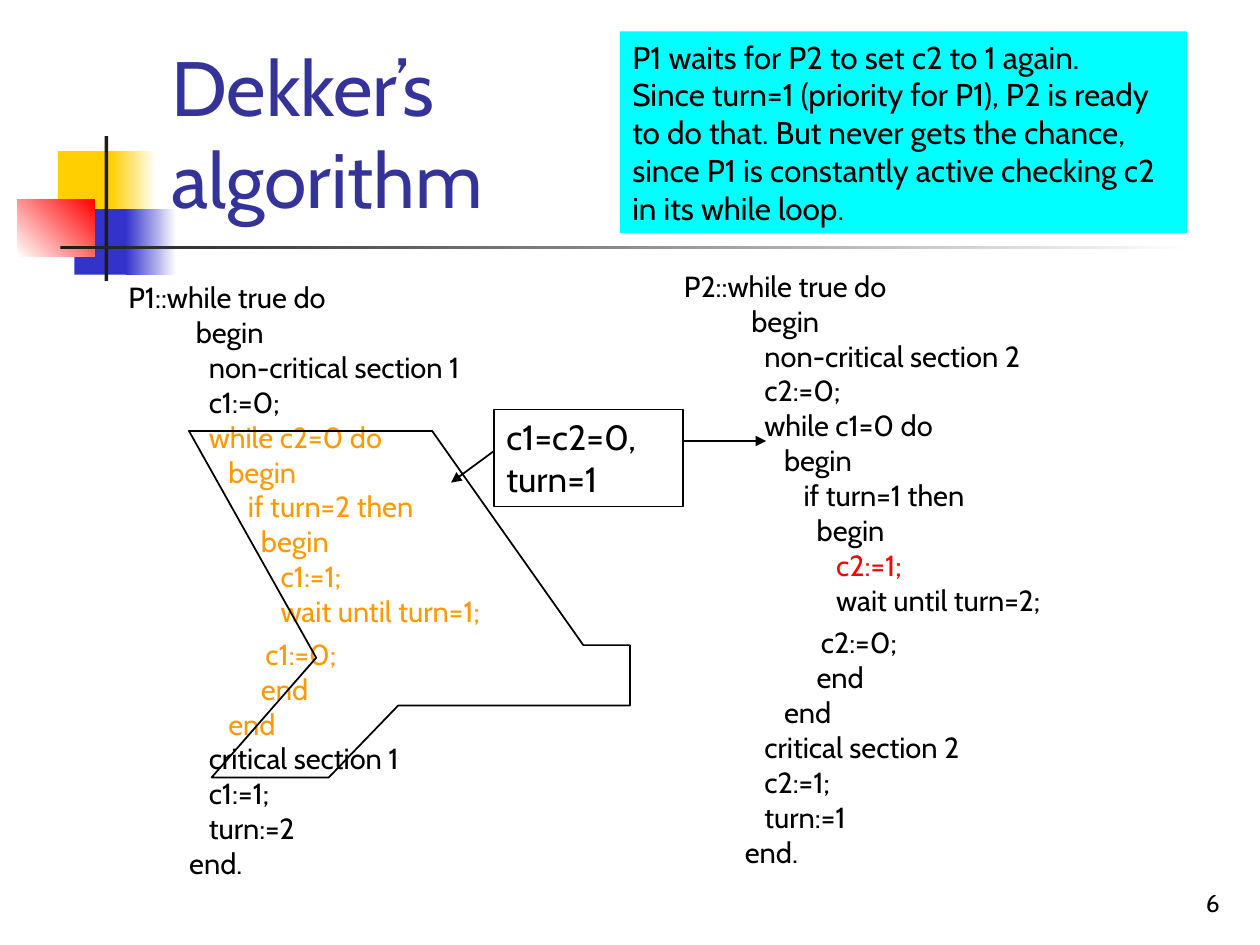
from lxml.etree import SubElement
from pptx import Presentation
from pptx.dml.color import RGBColor
from pptx.enum.shapes import MSO_CONNECTOR, MSO_SHAPE
from pptx.enum.text import MSO_ANCHOR, PP_ALIGN
from pptx.oxml.ns import qn
from pptx.util import Inches, Pt

FONT = "Cabin"
COLORS = {
    "black": "000000", "white": "FFFFFF", "yellow": "FFCF01", "blue": "3333CC",
    "red": "FF0000", "dark": "1C1C1C", "title": "333399", "cyan": "00FFFF",
    "orange": "FF9900",
}
CODE = [
    [
        "P{me}::while true do",
        "   begin",
        "     non-critical section {me}",
        "     c{me}:=0;",
        "     while c{other}=0 do",
        "        begin",
        "           if turn={other} then",
        "             begin",
        "                c{me}:=1;",
        "                wait until turn={me};",
    ],
    [
        "                     c{me}:=0;",
        "             end",
        "        end",
        "     critical section {me}",
        "     c{me}:=1;",
        "     turn:={other}",
        "  end.",
    ],
]
OUTLINE = [(1.5, 3.42), (2.51, 5.22), (1.68, 6.17), (2.61, 6.17), (3.16, 5.6),
           (5, 5.6), (5, 5.12), (4.63, 5.12), (3.43, 3.42)]


def rgb(name):
    """Look up a named colour."""
    return RGBColor.from_string(COLORS[name])


def add_rect(s, box, fill=None, line=None, fade=None, angle=0):
    """Add a rectangle with a plain fill, a gradient or no fill."""
    sp = s.shapes.add_shape(MSO_SHAPE.RECTANGLE, *map(Inches, box))
    sp.shadow.inherit = False
    if fade:
        sp.fill.gradient()
        sp.fill.gradient_angle = angle
        for stop, name in zip(sp.fill.gradient_stops, (fill, fade)):
            stop.color.rgb = rgb(name)
    elif fill:
        sp.fill.solid()
        sp.fill.fore_color.rgb = rgb(fill)
    else:
        sp.fill.background()
    set_line(sp, line)
    return sp


def set_line(sp, name):
    """Give a shape a one-point line, or none."""
    if name:
        sp.line.color.rgb = rgb(name)
        sp.line.width = Pt(1)
    else:
        sp.line.fill.background()


def write_lines(p, lines, size, align=PP_ALIGN.LEFT):
    """Fill a paragraph with coloured lines parted by line breaks."""
    p.alignment = align
    for i, (text, color) in enumerate(lines):
        if i:
            p.add_line_break()
        r = p.add_run()
        r.text = text
        r.font.name = FONT
        r.font.size = Pt(size)
        r.font.color.rgb = rgb(color)


def add_text(s, box, text, size, color="black", align=PP_ALIGN.LEFT):
    """Add a wrapped text box anchored at the bottom."""
    tf = s.shapes.add_textbox(*map(Inches, box)).text_frame
    tf.word_wrap = True
    tf.vertical_anchor = MSO_ANCHOR.BOTTOM
    write_lines(tf.paragraphs[0], [(text, color)], size, align)


def add_note(s, box, lines, size, fill=None, line=None):
    """Add a rectangle holding a short note."""
    tf = add_rect(s, box, fill, line).text_frame
    tf.word_wrap = True
    tf.vertical_anchor = MSO_ANCHOR.TOP
    write_lines(tf.paragraphs[0], [(text, "black") for text in lines], size)


def add_process(s, left, top, me, other, marked, color):
    """Add the code of one process, with the marked line numbers coloured."""
    tf = s.shapes.add_textbox(*map(Inches, (left, top, 4.21, 5.04))).text_frame
    tf.word_wrap = True
    number = 0
    for i, block in enumerate(CODE):
        p = tf.add_paragraph() if i else tf.paragraphs[0]
        pPr = p._p.get_or_add_pPr()
        pPr.set("marL", str(Inches(0.38)))
        pPr.set("indent", str(-Inches(0.38)))
        if i:
            p.space_before = Pt(4.5)
        lines = []
        for text in block:
            number += 1
            lines.append((text.format(me=me, other=other),
                          color if number in marked else "black"))
        write_lines(p, lines, 16.6)


def add_arrow(s, start, end):
    """Add a straight arrow."""
    c = s.shapes.add_connector(MSO_CONNECTOR.STRAIGHT, *map(Inches, start + end))
    set_line(c, "black")
    SubElement(c.line._get_or_add_ln(), qn("a:tailEnd"), type="triangle")
    SubElement(c._element.spPr, qn("a:effectLst"))


def add_outline(s, points):
    """Add a closed unfilled outline."""
    points = [tuple(map(Inches, point)) for point in points]
    builder = s.shapes.build_freeform(*points[0])
    builder.add_line_segments(points[1:], close=True)
    sp = builder.convert_to_shape()
    sp.shadow.inherit = False
    sp.fill.background()
    set_line(sp, "black")


def add_decoration(s):
    """Add the coloured squares and the rules beside the title."""
    add_rect(s, (0.46, 1.2, 0.48, 0.52), "yellow")
    add_rect(s, (0.88, 1.2, 0.36, 0.52), "yellow", fade="white")
    add_rect(s, (0.59, 1.66, 0.46, 0.52), "blue")
    add_rect(s, (1, 1.66, 0.4, 0.52), "blue", fade="white")
    add_rect(s, (0.14, 1.58, 0.61, 0.46), "white", fade="red", angle=45)
    add_rect(s, (0.83, 1.08, 0.03, 1.15), "dark")
    add_rect(s, (0.48, 1.95, 9, 0.03), "dark", fade="white")


def main():
    """Build the slide and save it."""
    prs = Presentation()
    prs.slide_width, prs.slide_height = Inches(10), Inches(7.5)
    s = prs.slides.add_slide(prs.slide_layouts[6])
    add_decoration(s)
    add_text(s, (7.7, 6.83, 2.08, 0.5), "6", 14, align=PP_ALIGN.RIGHT)
    add_text(s, (1.26, 0, 2.82, 1.83), "Dekker’s algorithm", 44, "title")
    add_process(s, 0.92, 2.17, 1, 2, range(5, 14), "orange")
    add_process(s, 5.33, 2.08, 2, 1, [9], "red")
    add_note(s, (4.92, 0.25, 4.5, 1.6), [
        "P1 waits for P2 to set c2 to 1 again.",
        "Since turn=1 (priority for P1), P2 is ready to do that. But never gets "
        "the chance, since P1 is constantly active checking c2 in its while loop.",
    ], 18, fill="cyan")
    add_arrow(s, (5.42, 3.5), (6.08, 3.5))
    add_note(s, (3.92, 3.25, 1.5, 0.77), ["c1=c2=0,", "turn=1"], 20, line="black")
    add_outline(s, OUTLINE)
    add_arrow(s, (3.92, 3.58), (3.58, 3.83))
    prs.save("out.pptx")


if __name__ == "__main__":
    main()
